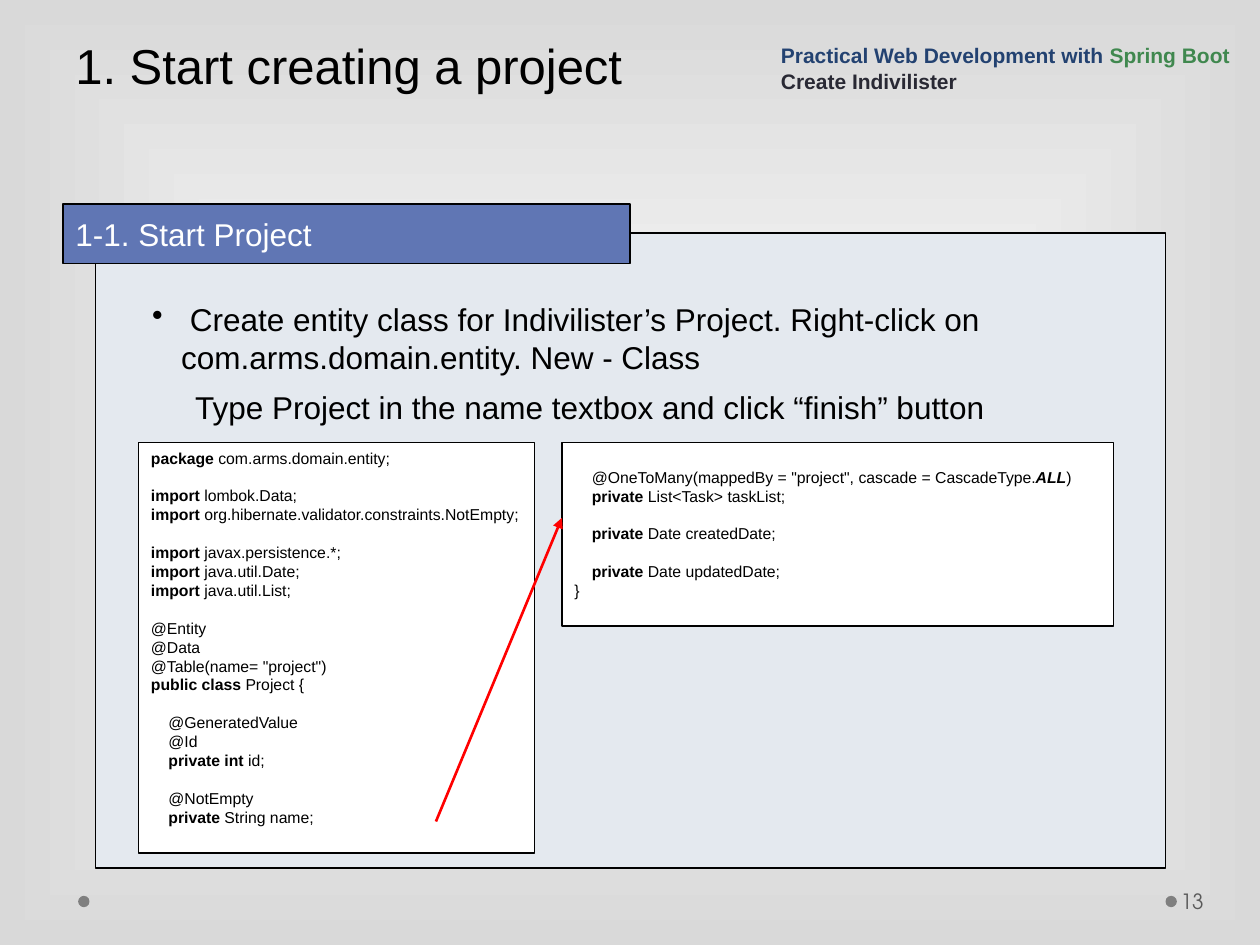
from lxml import etree
from pptx import Presentation
from pptx.dml.color import RGBColor
from pptx.enum.shapes import MSO_CONNECTOR, MSO_SHAPE
from pptx.enum.text import MSO_ANCHOR, PP_ALIGN
from pptx.oxml import parse_xml
from pptx.oxml.ns import nsdecls, qn
from pptx.util import Inches, Pt

RECTANGLE, OVAL = MSO_SHAPE.RECTANGLE, MSO_SHAPE.OVAL
TOP, MIDDLE, BOTTOM = MSO_ANCHOR.TOP, MSO_ANCHOR.MIDDLE, MSO_ANCHOR.BOTTOM
LEFT = PP_ALIGN.LEFT
STRAIGHT = MSO_CONNECTOR.STRAIGHT

# The slide is a grid of 100 columns by 75 rows of square cells
COLUMNS, ROWS = 100, 75
CELL = Inches(0.1)
CODE_SIZE, CODE_LINE = 9, 10.8

COLORS = {
    "black": "000000", "white": "FFFFFF", "edge": "D9D9D9",
    "panel": "E4E9EF", "heading": "6076B4", "dot": "7F7F7F",
    "number": "595959", "navy": "234271", "green": "40884F",
    "charcoal": "292934", "arrow": "FF0000",
}

# Bold code stands between bars
ENTITY_START = """|package| com.arms.domain.entity;

|import| lombok.Data;
|import| org.hibernate.validator.constraints.NotEmpty;

|import| javax.persistence.*;
|import| java.util.Date;
|import| java.util.List;

@Entity
@Data
@Table(name= "project")
|public class| Project {

    @GeneratedValue
    @Id
    |private int| id;

    @NotEmpty
    |private| String name;"""

ENTITY_END = """    @OneToMany(mappedBy = "project", cascade = CascadeType.|ALL|)
    |private| List<Task> taskList;

    |private| Date createdDate;

    |private| Date updatedDate;
}"""


def color(name):
    return RGBColor.from_string(COLORS[name])


def cells(*counts):
    return [round(count * CELL) for count in counts]


def paint_background(slide):
    fill = slide.background.fill
    fill.gradient()
    for stop, name in zip(fill.gradient_stops, ("white", "edge")):
        stop.color.rgb = color(name)
    linear = next(slide.element.iter(qn("a:lin")))
    center = parse_xml(
        f'<a:path {nsdecls("a")} path="rect">'
        '<a:fillToRect l="50000" t="50000" r="50000" b="50000"/></a:path>')
    linear.getparent().replace(linear, center)


def add_block(slide, kind, area, fill, outlined=True):
    shape = slide.shapes.add_shape(kind, *cells(*area))
    shape.shadow.inherit = False
    shape.fill.solid()
    shape.fill.fore_color.rgb = color(fill)
    if outlined:
        shape.line.color.rgb = color("black")
        shape.line.width = Pt(0.75)
    else:
        shape.line.fill.background()
    return shape


def prepare_frame(shape, anchor=TOP, left=1, top=0.5):
    frame = shape.text_frame
    frame.word_wrap = True
    frame.vertical_anchor = anchor
    frame.margin_left, frame.margin_top = cells(left, top)
    frame.margin_right, frame.margin_bottom = cells(1, 0.5)
    return frame


def format_run(run, size, name="black", bold=False, italic=False, font="Arial"):
    run.font.name = font
    run.font.size = Pt(size)
    run.font.bold = bold
    run.font.italic = italic
    run.font.color.rgb = color(name)


def write_line(frame, text, size, name="black", font="Arial"):
    frame.text = text
    paragraph = frame.paragraphs[0]
    paragraph.alignment = LEFT
    format_run(paragraph.runs[0], size, name, font=font)
    return paragraph


def add_text(slide, area, text, size, name="black", anchor=TOP,
             left=1, top=0.5, font="Arial"):
    box = slide.shapes.add_textbox(*cells(*area))
    return write_line(prepare_frame(box, anchor, left, top), text, size, name, font)


def add_bullet(paragraph, hanging):
    properties = paragraph._p.get_or_add_pPr()
    properties.set("marL", str(hanging))
    properties.set("indent", str(-hanging))
    etree.SubElement(properties, qn("a:buChar")).set("char", "•")


def add_code(slide, area, code, top=0.5):
    frame = prepare_frame(add_block(slide, RECTANGLE, area, "white"), top=top)
    paragraph, gap = frame.paragraphs[0], 0
    for index, line in enumerate(code.split("\n")):
        if not line:
            gap = CODE_LINE
            continue
        if index:
            paragraph = frame.add_paragraph()
            paragraph.space_before = Pt(gap)
        paragraph.alignment = LEFT
        paragraph.line_spacing = Pt(CODE_LINE)
        for position, part in enumerate(line.split("|")):
            if part:
                run = paragraph.add_run()
                run.text = part
                bold = position % 2 == 1
                format_run(run, CODE_SIZE, bold=bold, italic=bold and part.isupper())
        gap = 0


def add_course_label(slide):
    frame = prepare_frame(slide.shapes.add_textbox(*cells(61, 2.4, 39, 5.5)), BOTTOM)
    lines = (
        (("Practical Web Development with ", "navy"), ("Spring Boot", "green")),
        (("Create Indivilister", "charcoal"),),
    )
    for index, parts in enumerate(lines):
        paragraph = frame.add_paragraph() if index else frame.paragraphs[0]
        for text, name in parts:
            run = paragraph.add_run()
            run.text = text
            format_run(run, 12, name, bold=True)


def add_arrow(slide, start, end):
    connector = slide.shapes.add_connector(STRAIGHT, *cells(*start, *end))
    connector.line.color.rgb = color("arrow")
    connector.line.width = Pt(1.5)
    etree.SubElement(connector.line._get_or_add_ln(), qn("a:tailEnd")).set("type", "triangle")
    etree.SubElement(connector._element.spPr, qn("a:effectLst"))


def main():
    presentation = Presentation()
    presentation.slide_width, presentation.slide_height = cells(COLUMNS, ROWS)
    slide = presentation.slides.add_slide(presentation.slide_layouts[6])
    paint_background(slide)

    # Footer dots and page number
    for left in (92.5, 6.2):
        add_block(slide, OVAL, (left, 71.1, 0.9, 0.9), "dot", outlined=False)
    add_text(slide, (93.4, 69.5, 6.1, 4), "13", 12, "number", MIDDLE,
             left=0.3, font="TeX Gyre Adventor")

    # Panel, title and section heading
    add_block(slide, RECTANGLE, (7.6, 18.5, 84.9, 50.4), "panel")
    title = add_text(slide, (5, 0, 90, 16.1), "1. Start creating a project", 28, top=0)
    title.line_spacing = Pt(54)
    heading = add_block(slide, RECTANGLE, (5, 16.2, 45, 4.7), "heading")
    write_line(prepare_frame(heading, MIDDLE), "1-1. Start Project", 18, "white")

    # Instructions
    step = add_text(slide, (11.1, 23.3, 77.4, 7),
                    " Create entity class for Indivilister’s Project. Right-click on "
                    "com.arms.domain.entity. New - Class", 18)
    add_bullet(step, Inches(0.23))
    add_text(slide, (14.5, 30.3, 66.4, 4),
             "Type Project in the name textbox and click “finish” button", 18)

    # Code in two boxes, joined by the arrow
    add_code(slide, (11, 35.1, 31.4, 32.6), ENTITY_START)
    add_course_label(slide)
    add_code(slide, (44.6, 35.1, 43.8, 14.6), ENTITY_END, top=2)
    add_arrow(slide, (34.6, 65.2), (44.6, 41.1))

    presentation.save("out.pptx")


if __name__ == "__main__":
    main()
